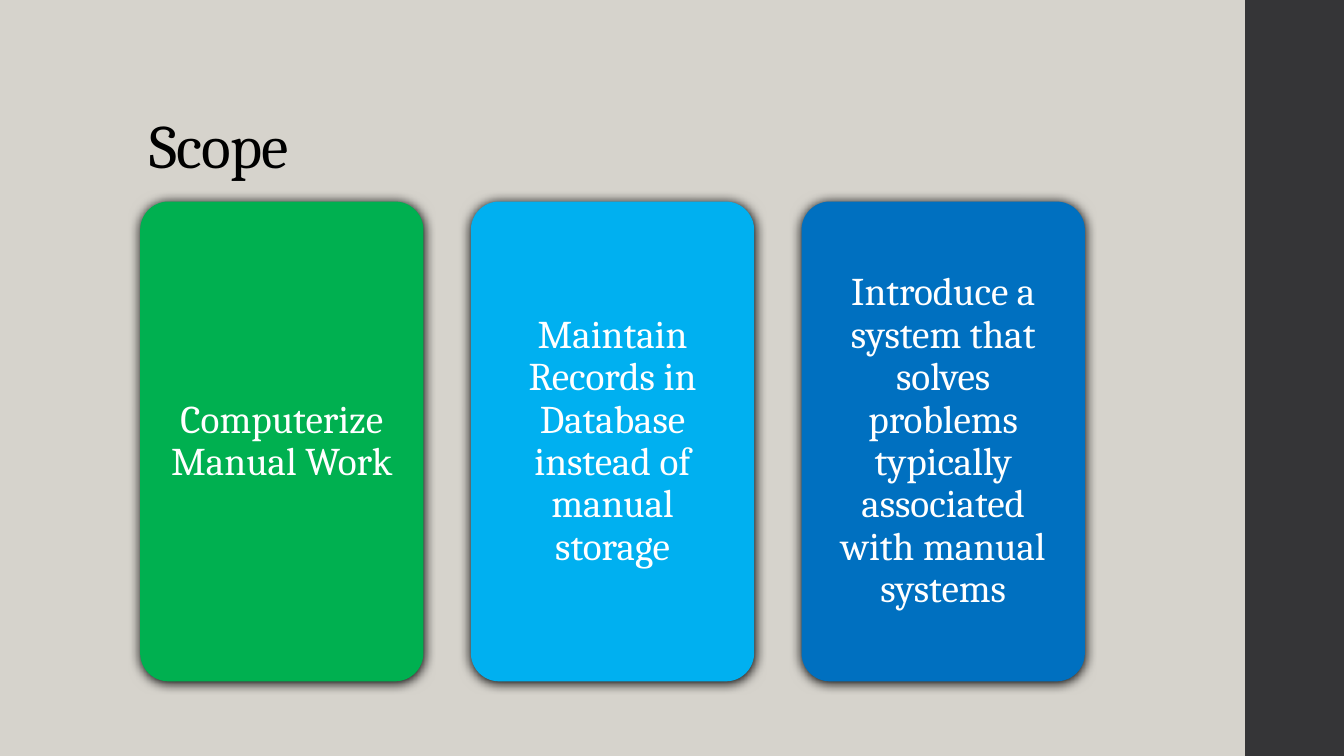
from lxml.etree import SubElement
from pptx import Presentation
from pptx.dml.color import RGBColor
from pptx.enum.shapes import MSO_SHAPE as SHAPE
from pptx.enum.text import MSO_ANCHOR as ANCHOR, PP_ALIGN as ALIGN
from pptx.oxml.ns import qn
from pptx.util import Pt

PX = 9144  # EMU per px, 100 px to the inch
WIDTH, HEIGHT = 1333, 750
FONT = "Cambria"
COLORS = {
    "background": "D6D3CC",
    "sidebar": "353537",
    "title": "000000",
    "card_text": "FFFFFF",
    "shadow": "000000",
    "green": "00B050",
    "sky": "00B0F0",
    "blue": "0070C0",
}
SCOPE_CARDS = [
    ("Computerize Manual Work", "green"),
    ("Maintain Records in Database instead of manual storage", "sky"),
    ("Introduce a system that solves problems typically associated "
     "with manual systems", "blue"),
]


def rgb(name):
    return RGBColor.from_string(COLORS[name])


def emu(*lengths):
    return [length * PX for length in lengths]


def add_block(slide, kind, box, color):
    s = slide.shapes.add_shape(kind, *emu(*box))
    s.shadow.inherit = False
    s.fill.solid()
    s.fill.fore_color.rgb = rgb(color)
    s.line.fill.background()
    return s


def set_text(s, text, size, color, anchor, align):
    tf = s.text_frame
    tf.word_wrap = True
    tf.vertical_anchor = anchor
    tf.text = text
    p = tf.paragraphs[0]
    p.alignment = align
    p.line_spacing = 0.9
    r = p.runs[0]
    r.font.name = FONT
    r.font.size = Pt(size)
    r.font.color.rgb = rgb(color)
    return r


def add_soft_shadow(s):
    effects = s._element.spPr.find(qn("a:effectLst"))
    shadow = SubElement(effects, qn("a:outerShdw"), blurRad=str(Pt(8.5)),
                        dist=str(Pt(1)), dir="5400000", algn="ctr",
                        rotWithShape="0")
    SubElement(shadow, qn("a:srgbClr"), val=COLORS["shadow"])


def add_title(slide, box, text):
    s = slide.shapes.add_textbox(*emu(*box))
    r = set_text(s, text, 44, "title", ANCHOR.BOTTOM, ALIGN.LEFT)
    r._r.get_or_add_rPr().set("spc", "-50")


def add_card(slide, box, text, color):
    s = add_block(slide, SHAPE.ROUNDED_RECTANGLE, box, color)
    s.adjustments[0] = 0.1
    add_soft_shadow(s)
    tf = s.text_frame
    tf.margin_left = tf.margin_right = tf.margin_top = tf.margin_bottom = 12 * PX
    set_text(s, text, 28, "card_text", ANCHOR.MIDDLE, ALIGN.CENTER)


def add_card_row(slide, box, cards, gap):
    """Share the width of the box equally among the cards."""
    left, top, width, height = box
    card_width = (width - gap * (len(cards) - 1)) // len(cards)
    for i, (text, color) in enumerate(cards):
        x = left + i * (card_width + gap)
        add_card(slide, (x, top, card_width, height), text, color)


def build_scope_slide(prs):
    slide = prs.slides.add_slide(prs.slide_layouts[6])
    slide.background.fill.solid()
    slide.background.fill.fore_color.rgb = rgb("background")
    add_block(slide, SHAPE.RECTANGLE, (1235, 0, 100, HEIGHT), "sidebar")
    add_title(slide, (138, 40, 1060, 145), "Scope")
    add_card_row(slide, (139, 200, 939, 476), SCOPE_CARDS, gap=47)


def main():
    prs = Presentation()
    prs.slide_width, prs.slide_height = emu(WIDTH, HEIGHT)
    build_scope_slide(prs)
    prs.save("out.pptx")


if __name__ == "__main__":
    main()
